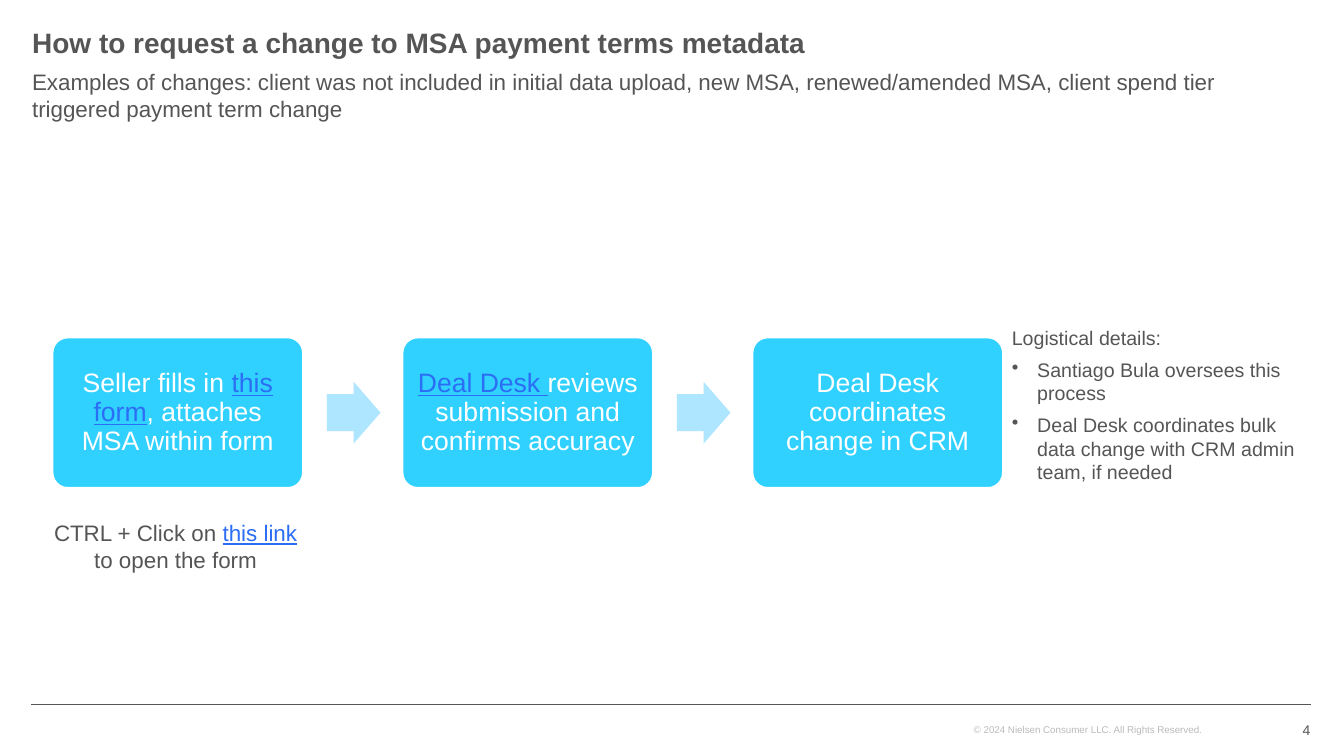
import dataclasses

import lxml.etree
import pptx
import pptx.dml.color
import pptx.enum.shapes
import pptx.enum.text
import pptx.oxml.ns
import pptx.util

Cm = pptx.util.Cm
Pt = pptx.util.Pt
ALIGN = pptx.enum.text.PP_ALIGN
ANCHOR = pptx.enum.text.MSO_ANCHOR
SHAPE = pptx.enum.shapes.MSO_SHAPE

COLORS = {
    "text": "555555",
    "muted": "BBBBBB",
    "link": "2C6DF6",
    "step": "30D1FF",
    "arrow": "AEE5FF",
    "white": "FFFFFF",
}
FONT = "Arial"
LINK_MARK = "|"

STEP_LEFT, STEP_TOP, STEP_WIDTH, STEP_HEIGHT = 1.33, 8.51, 6.3, 3.78
STEP_PITCH = 8.82
ARROW_WIDTH, ARROW_HEIGHT, ARROW_OFFSET = 1.35, 1.55, 6.91


@dataclasses.dataclass(frozen=True)
class Box:
    left: float
    top: float
    width: float
    height: float

    def lengths(self) -> tuple:
        return tuple(Cm(v) for v in dataclasses.astuple(self))


@dataclasses.dataclass(frozen=True)
class TextBlock:
    box: Box
    paragraphs: tuple
    size: float
    color: str = "text"
    bold: bool = False
    align: ALIGN = ALIGN.LEFT
    anchor: ANCHOR = ANCHOR.TOP
    space_after: float = 0
    bullets_from: int | None = None


STEPS = (
    "Seller fills in |this form|, attaches MSA within form",
    "|Deal Desk |reviews submission and confirms accuracy",
    "Deal Desk coordinates change in CRM",
)

TEXT_BLOCKS = (
    TextBlock(Box(24.54, 18.11, 7.21, 0.56),
              ("© 2024 Nielsen Consumer LLC. All Rights Reserved.",), 7, color="muted"),
    TextBlock(Box(30.51, 17.88, 2.51, 1.02), ("4",), 10,
              align=ALIGN.RIGHT, anchor=ANCHOR.MIDDLE),
    TextBlock(Box(0.81, 1.6, 32.18, 2.57),
              ("Examples of changes: client was not included in initial data upload, new MSA, "
               "renewed/amended MSA, client spend tier triggered payment term change",), 16),
    TextBlock(Box(0.81, 0.51, 32.18, 1.09),
              ("How to request a change to MSA payment terms metadata",), 20,
              bold=True, anchor=ANCHOR.MIDDLE),
    TextBlock(Box(25.5, 8.08, 7.52, 7.65),
              ("Logistical details:",
               "Santiago Bula oversees this process",
               "Deal Desk coordinates bulk data change with CRM admin team, if needed"), 14,
              space_after=6, bullets_from=1),
    TextBlock(Box(1.3, 12.95, 6.25, 1.63),
              ("CTRL + Click on |this link| to open the form",), 16,
              align=ALIGN.CENTER, space_after=6),
)


def rgb(name: str) -> pptx.dml.color.RGBColor:
    return pptx.dml.color.RGBColor.from_string(COLORS[name])


def add_bullet(p) -> None:
    pPr = p._p.get_or_add_pPr()
    pPr.set("marL", str(Cm(0.64)))
    pPr.set("indent", str(-Cm(0.64)))
    bu = lxml.etree.SubElement(pPr, pptx.oxml.ns.qn("a:buChar"))
    bu.set("char", "•")


def write_text(tf, paragraphs: tuple, *, size: float, color: str, bold: bool = False,
               align: ALIGN = ALIGN.LEFT, anchor: ANCHOR = ANCHOR.TOP,
               insets: tuple = (0, 0.13), space_after: float = 0,
               line_spacing: float | None = None,
               bullets_from: int | None = None) -> None:
    tf.word_wrap = True
    tf.vertical_anchor = anchor
    tf.margin_left = tf.margin_right = Cm(insets[0])
    tf.margin_top = tf.margin_bottom = Cm(insets[1])
    for i, text in enumerate(paragraphs):
        p = tf.paragraphs[0] if i == 0 else tf.add_paragraph()
        p.alignment = align
        p.space_after = Pt(space_after)
        p.line_spacing = line_spacing
        if bullets_from is not None and i >= bullets_from:
            add_bullet(p)
        for j, part in enumerate(text.split(LINK_MARK)):
            if not part:
                continue
            is_link = j % 2 == 1
            r = p.add_run()
            r.text = part
            r.font.name = FONT
            r.font.size = Pt(size)
            r.font.bold = bold
            r.font.underline = is_link
            r.font.color.rgb = rgb("link" if is_link else color)


def add_shape(slide, kind: SHAPE, box: Box, fill: str, adjustments: tuple):
    sp = slide.shapes.add_shape(kind, *box.lengths())
    sp.shadow.inherit = False
    sp.fill.solid()
    sp.fill.fore_color.rgb = rgb(fill)
    sp.line.fill.background()
    for i, value in enumerate(adjustments):
        sp.adjustments[i] = value
    return sp


def add_step(slide, index: int, text: str) -> None:
    left = STEP_LEFT + index * STEP_PITCH
    sp = add_shape(slide, SHAPE.ROUNDED_RECTANGLE,
                   Box(left, STEP_TOP, STEP_WIDTH, STEP_HEIGHT), "step", (0.1,))
    sp.line.color.rgb = rgb("white")
    sp.line.width = Pt(1)
    write_text(sp.text_frame, (text,), size=19, color="white", align=ALIGN.CENTER,
               anchor=ANCHOR.MIDDLE, insets=(0.2, 0.2), line_spacing=0.9)
    if index < len(STEPS) - 1:
        top = STEP_TOP + (STEP_HEIGHT - ARROW_HEIGHT) / 2
        add_shape(slide, SHAPE.RIGHT_ARROW,
                  Box(left + ARROW_OFFSET, top, ARROW_WIDTH, ARROW_HEIGHT),
                  "arrow", (0.6, 0.5))


def add_footer_line(slide) -> None:
    line = slide.shapes.add_connector(pptx.enum.shapes.MSO_CONNECTOR.STRAIGHT,
                                      Cm(0.79), Cm(17.75), Cm(33.05), Cm(17.75))
    line.line.color.rgb = rgb("text")
    line.line.width = Pt(1)
    lxml.etree.SubElement(line._element.spPr, pptx.oxml.ns.qn("a:effectLst"))


def add_text_block(slide, block: TextBlock) -> None:
    sp = slide.shapes.add_textbox(*block.box.lengths())
    write_text(sp.text_frame, block.paragraphs, size=block.size, color=block.color,
               bold=block.bold, align=block.align, anchor=block.anchor,
               space_after=block.space_after, bullets_from=block.bullets_from)


def main() -> None:
    prs = pptx.Presentation()
    prs.slide_width = Cm(33.87)
    prs.slide_height = Cm(19.05)
    slide = prs.slides.add_slide(prs.slide_layouts[6])
    add_footer_line(slide)
    for index, text in enumerate(STEPS):
        add_step(slide, index, text)
    for block in TEXT_BLOCKS:
        add_text_block(slide, block)
    prs.save("out.pptx")


if __name__ == "__main__":
    main()
